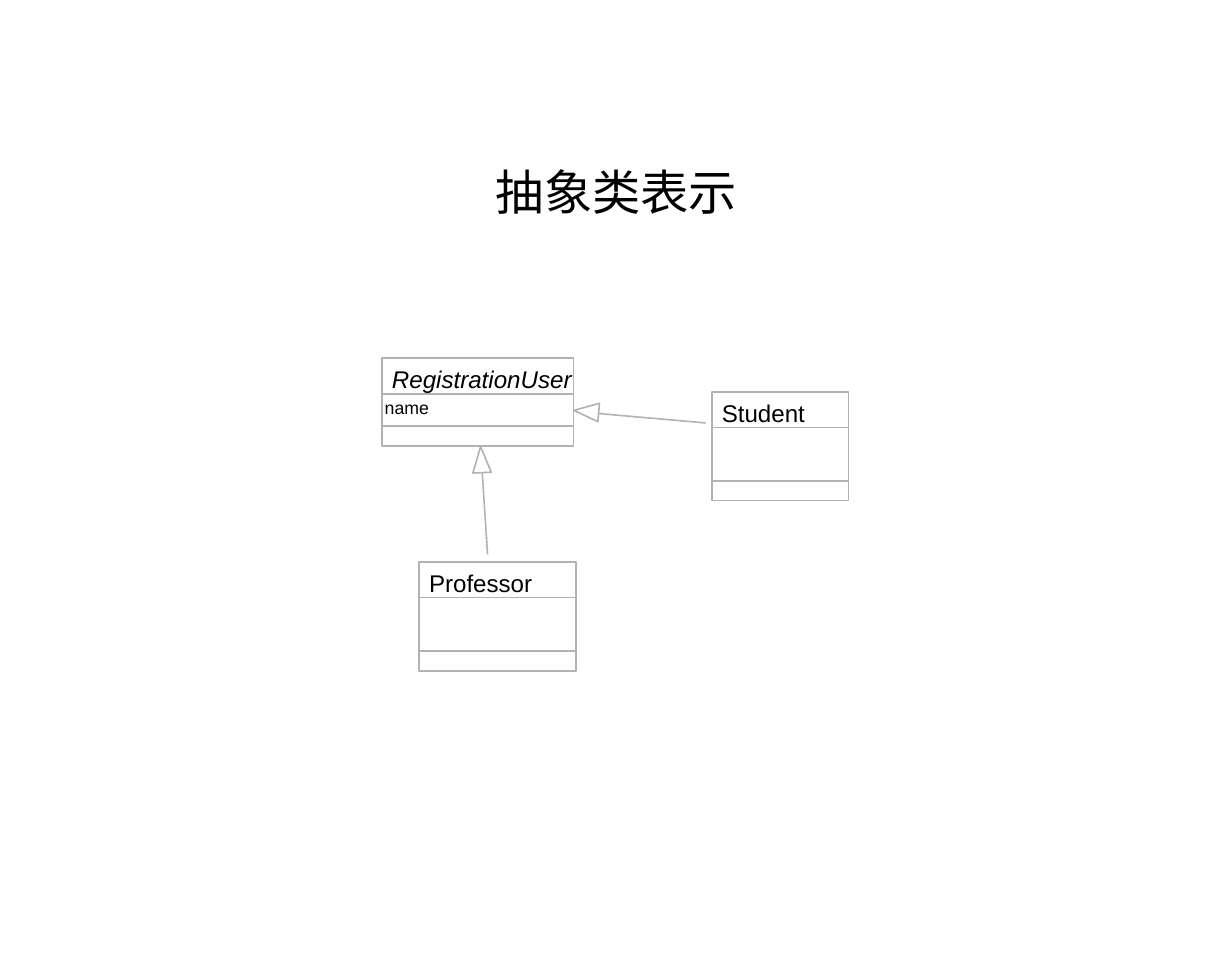
from dataclasses import dataclass

from lxml import etree
from pptx import Presentation, util as u
from pptx.dml.color import RGBColor
from pptx.enum import shapes, text
from pptx.oxml.ns import qn

TITLE = "抽象类表示"
CLASSES = [
    {"name": "Student", "frame": (442.3, 243.5, 84.8, 67.7), "label_width": 56},
    {"name": "Professor", "frame": (260.4, 349.3, 97.4, 67.7), "label_width": 68},
    {"name": "RegistrationUser", "frame": (237.4, 222.7, 118.8, 54.5),
     "label_width": 116, "abstract": True, "attribute": "name"},
]
GENERALIZATIONS = [
    {"line": [(302.9, 344.6), (298.6, 278)],
     "head": [(298.6, 277.6), (305.2, 293.5), (293.8, 294)]},
    {"line": [(438.5, 262.9), (357.8, 255.8)],
     "head": [(356.5, 255.1), (372.4, 250.7), (371.4, 262.1)]},
]


@dataclass(frozen=True)
class Theme:
    ink: str = "000000"
    outline: str = "B2B2B2"
    paper: str = "FFFFFF"
    title_font: str = "Times New Roman"
    label_font: str = "Arial"
    title_size: float = 30
    class_size: float = 15
    attribute_size: float = 11
    line_width: float = 1
    header_height: float = 22.2
    footer_height: float = 12.3


THEME = Theme()


def add_text(page, content, frame, *, size, font=THEME.label_font, italic=False,
             align=text.PP_ALIGN.LEFT, anchor=text.MSO_ANCHOR.TOP, wrap=False):
    box = page.shapes.add_textbox(*map(u.Pt, frame))
    body = box.text_frame
    body.margin_left = body.margin_right = body.margin_top = body.margin_bottom = 0
    body.word_wrap = wrap
    body.vertical_anchor = anchor
    para = body.paragraphs[0]
    para.alignment = align
    span = para.add_run()
    span.text = content
    span.font.name = font
    span.font.size = u.Pt(size)
    span.font.italic = italic
    span.font.color.rgb = RGBColor.from_string(THEME.ink)


def set_outline(shape):
    shape.line.color.rgb = RGBColor.from_string(THEME.outline)
    shape.line.width = u.Pt(THEME.line_width)


def add_line(page, start, end):
    line = page.shapes.add_connector(
        shapes.MSO_CONNECTOR.STRAIGHT, *map(u.Pt, (*start, *end)))
    set_outline(line)
    etree.SubElement(line._element.spPr, qn("a:effectLst"))


def add_class(page, name, frame, label_width, abstract=False, attribute=None):
    left, top, width, height = frame
    box = page.shapes.add_shape(shapes.MSO_SHAPE.RECTANGLE, *map(u.Pt, frame))
    box.shadow.inherit = False
    box.fill.background()
    set_outline(box)
    add_text(page, name, (left + 6.1, top + 3.9, label_width, 18),
             size=THEME.class_size, italic=abstract)
    header = top + THEME.header_height
    for y in (header, top + height - THEME.footer_height):
        add_line(page, (left, y), (left + width, y))
    if attribute:
        add_text(page, attribute, (left + 1.6, header + 1.7, 32, 13),
                 size=THEME.attribute_size)


def add_generalization(page, line, head):
    add_line(page, *line)
    tip, *base = [tuple(map(u.Pt, point)) for point in head]
    builder = page.shapes.build_freeform(*tip, scale=1.0)
    builder.add_line_segments(base, close=True)
    triangle = builder.convert_to_shape()
    triangle.shadow.inherit = False
    triangle.fill.solid()
    triangle.fill.fore_color.rgb = RGBColor.from_string(THEME.paper)
    set_outline(triangle)


def main():
    deck = Presentation()
    deck.slide_width, deck.slide_height = u.Pt(765.36), u.Pt(595.44)
    page = deck.slides.add_slide(deck.slide_layouts[6])
    add_text(page, TITLE, (57.6, 85.7, 650.9, 66.2), size=THEME.title_size,
             font=THEME.title_font, align=text.PP_ALIGN.CENTER,
             anchor=text.MSO_ANCHOR.MIDDLE, wrap=True)
    for item in CLASSES:
        add_class(page, **item)
    for item in GENERALIZATIONS:
        add_generalization(page, **item)
    deck.save("out.pptx")


if __name__ == "__main__":
    main()
